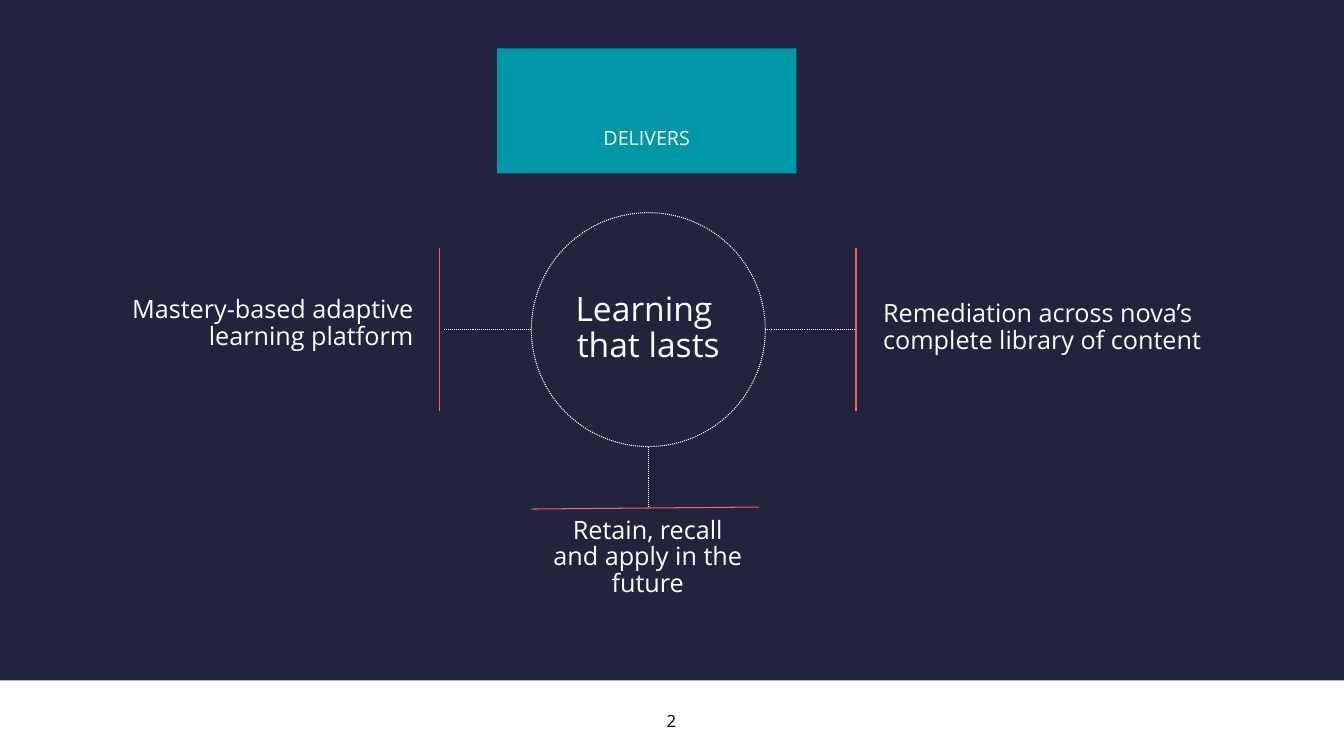
from lxml import etree
from pptx import Presentation
from pptx.dml.color import RGBColor
from pptx.enum.dml import MSO_LINE
from pptx.enum.shapes import MSO_CONNECTOR, MSO_SHAPE
from pptx.enum.text import MSO_ANCHOR, MSO_AUTO_SIZE, PP_ALIGN
from pptx.oxml.ns import qn
from pptx.util import Inches, Pt

COLORS = {"navy": "21243C", "teal": "0097A7", "coral": "F06469",
          "white": "FFFFFF", "black": "000000"}
FONT = "Open Sans"


def color(name):
    return RGBColor.from_string(COLORS[name])


def lengths(*values):
    return [Inches(value) for value in values]


def write_text(shape, paragraphs, size=18, ink="white", align=PP_ALIGN.LEFT,
               anchor=MSO_ANCHOR.TOP, inset=0.1, spacing=0.88):
    frame = shape.text_frame
    frame.word_wrap = True
    frame.auto_size = MSO_AUTO_SIZE.NONE
    frame.vertical_anchor = anchor
    frame.margin_left = frame.margin_right = Inches(inset)
    frame.margin_top = frame.margin_bottom = Inches(inset)
    for index, text in enumerate(paragraphs):
        paragraph = frame.add_paragraph() if index else frame.paragraphs[0]
        paragraph.alignment = align
        paragraph.line_spacing = spacing
        run = paragraph.add_run()
        run.text = text
        run.font.name = FONT
        run.font.size = Pt(size)
        run.font.color.rgb = color(ink)


def add_text(shapes, box, text, **text_format):
    write_text(shapes.add_textbox(*lengths(*box)), [text], **text_format)


def add_block(shapes, box, fill):
    block = shapes.add_shape(MSO_SHAPE.RECTANGLE, *lengths(*box))
    block.shadow.inherit = False
    block.fill.solid()
    block.fill.fore_color.rgb = color(fill)
    block.line.fill.background()


def style_line(line, ink, dotted=False):
    line.color.rgb = color(ink)
    line.width = Pt(0.75)
    if dotted:
        line.dash_style = MSO_LINE.ROUND_DOT


def add_line(shapes, start, end, ink, dotted=False):
    connector = shapes.add_connector(MSO_CONNECTOR.STRAIGHT,
                                     *lengths(*start, *end))
    style_line(connector.line, ink, dotted)
    etree.SubElement(connector._element.spPr, qn("a:effectLst"))


def add_banner(slide, left, top, width, height):
    add_block(slide.shapes, (left, top, width, height), "teal")
    add_text(slide.shapes, (left, top + 0.58, width, 0.65), "DELIVERS",
             size=14, align=PP_ALIGN.CENTER, anchor=MSO_ANCHOR.MIDDLE)


def add_hub(slide, left, top, diameter):
    """Draw the dotted circle with the slide title in its middle."""
    circle = slide.shapes.add_shape(
        MSO_SHAPE.OVAL, *lengths(left, top, diameter, diameter))
    circle.shadow.inherit = False
    circle.fill.background()
    style_line(circle.line, "white", dotted=True)
    title = slide.shapes.title
    title.left, title.top, title.width, title.height = lengths(
        left, top + 0.75, diameter, 0.81)
    write_text(title, ["Learning ", "that lasts"], size=24,
               align=PP_ALIGN.CENTER, anchor=MSO_ANCHOR.MIDDLE)


def add_spokes(slide, left, top, diameter):
    """Link the circle to the benefits at its left, right and bottom."""
    shapes = slide.shapes
    right, bottom = left + diameter, top + diameter
    center_x, center_y = left + diameter / 2, top + diameter / 2
    for edge, reach, bar in ((left, left - 0.88, left - 0.91),
                             (right, right + 0.89, right + 0.9)):
        add_line(shapes, (bar, center_y - 0.81), (bar, center_y + 0.81),
                 "coral")
        add_line(shapes, (edge, center_y), (reach, center_y), "white",
                 dotted=True)
    add_line(shapes, (center_x, bottom), (center_x, bottom + 0.61), "white",
             dotted=True)
    add_line(shapes, (left, bottom + 0.62), (left + 2.26, bottom + 0.6),
             "coral")
    add_text(shapes, (left - 4.48, center_y - 0.42, 3.41, 0.84),
             "Mastery-based adaptive learning platform",
             align=PP_ALIGN.RIGHT)
    add_text(shapes, (right + 1.07, center_y - 0.38, 3.62, 0.76),
             "Remediation across nova’s complete library of content")
    add_text(shapes, (center_x - 1.09, bottom + 0.61, 2.17, 0.84),
             "Retain, recall and apply in the future",
             align=PP_ALIGN.CENTER)


def build_slide(presentation):
    slide = presentation.slides.add_slide(presentation.slide_layouts[5])
    add_block(slide.shapes, (0, 0, 13.33, 6.75), "navy")
    slide.shapes._spTree.append(slide.shapes.title._element)
    add_text(slide.shapes, (6.09, 7, 1.14, 0.25), "2", size=12, ink="black",
             align=PP_ALIGN.CENTER, anchor=MSO_ANCHOR.BOTTOM, inset=0,
             spacing=1.0)
    add_banner(slide, 4.93, 0.48, 2.97, 1.24)
    hub = (5.27, 2.11, 2.32)
    add_hub(slide, *hub)
    add_spokes(slide, *hub)


def main():
    presentation = Presentation()
    presentation.slide_width, presentation.slide_height = lengths(13.33, 7.5)
    build_slide(presentation)
    presentation.save("out.pptx")


if __name__ == "__main__":
    main()
